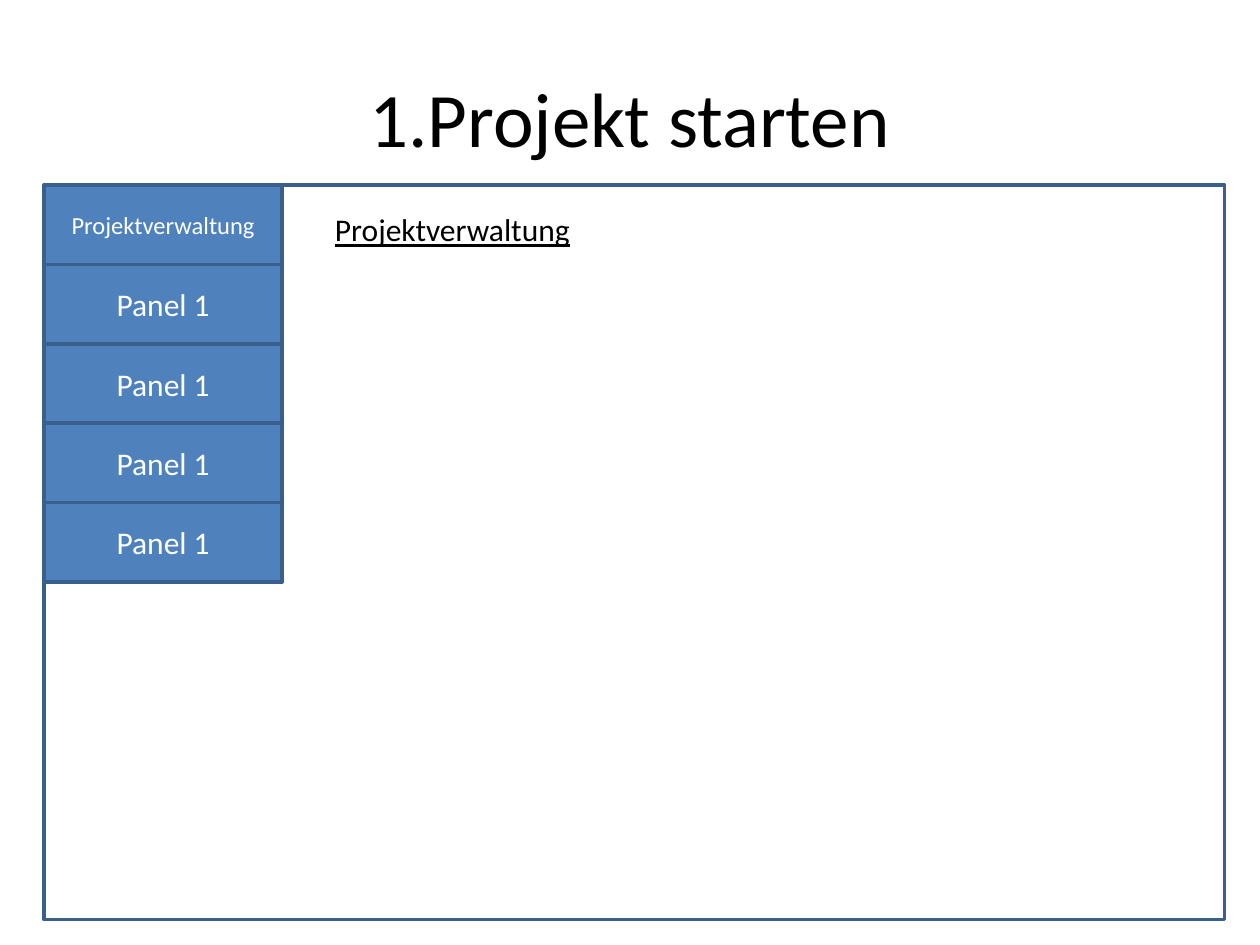
from pptx import Presentation
from pptx.dml.color import RGBColor
from pptx.enum.shapes import MSO_SHAPE
from pptx.enum.text import MSO_ANCHOR, MSO_AUTO_SIZE, PP_ALIGN
from pptx.util import Inches, Pt

RECT = MSO_SHAPE.RECTANGLE
MIDDLE = MSO_ANCHOR.MIDDLE
CENTER, LEFT = PP_ALIGN.CENTER, PP_ALIGN.LEFT
FIT_SHAPE = MSO_AUTO_SIZE.SHAPE_TO_FIT_TEXT
TITLE_ONLY = 5


def rgb(value):
    return RGBColor.from_string(value)


class SlideBuilder:
    """Hold the style and the current slide, and add its elements."""

    font = "Calibri"
    text_color = "000000"
    panel_text_color = "FFFFFF"
    panel_fill = "4F81BD"
    border = "3A5F8C"

    def __init__(self, slide):
        self.slide = slide

    def set_text(self, tf, text, size, color, align, underline=None):
        tf.text = text
        tf.word_wrap = True
        p = tf.paragraphs[0]
        p.alignment = align
        font = p.runs[0].font
        font.name = self.font
        font.size = Pt(size)
        font.color.rgb = rgb(color)
        font.underline = underline

    def title(self, text, x, y, w, h):
        sp = self.slide.shapes.title
        sp.left, sp.top, sp.width, sp.height = map(Inches, (x, y, w, h))
        sp.text_frame.vertical_anchor = MIDDLE
        self.set_text(sp.text_frame, text, 44, self.text_color, CENTER)

    def frame(self, x, y, w, h):
        sp = self.slide.shapes.add_shape(RECT, *map(Inches, (x, y, w, h)))
        sp.shadow.inherit = False
        sp.fill.background()
        sp.line.color.rgb = rgb(self.border)
        sp.line.width = Pt(2)
        return sp

    def panel(self, text, x, y, w, h, size):
        sp = self.frame(x, y, w, h)
        sp.fill.solid()
        sp.fill.fore_color.rgb = rgb(self.panel_fill)
        sp.text_frame.vertical_anchor = MIDDLE
        self.set_text(sp.text_frame, text, size, self.panel_text_color, CENTER)

    def heading(self, text, x, y, w, h):
        sp = self.slide.shapes.add_textbox(*map(Inches, (x, y, w, h)))
        self.set_text(sp.text_frame, text, 18, self.text_color, LEFT, True)
        sp.text_frame.auto_size = FIT_SHAPE


def main():
    prs = Presentation()
    prs.slide_width, prs.slide_height = Inches(10), Inches(7.5)
    s = SlideBuilder(prs.slides.add_slide(prs.slide_layouts[TITLE_ONLY]))

    s.title("1.Projekt starten", 0.5, 0.3, 9, 1.25)

    left, top = 0.35, 1.47
    panel_w, panel_h = 1.89, 0.63
    s.frame(left, top, 9.37, 5.83)
    panels = [("Projektverwaltung", 14)] + [("Panel 1", 18)] * 4
    for i, (text, size) in enumerate(panels):
        s.panel(text, left, top + i * panel_h, panel_w, panel_h, size)
    s.heading("Projektverwaltung", 2.56, 1.62, 6.69, 0.4)

    prs.save("out.pptx")


if __name__ == "__main__":
    main()
